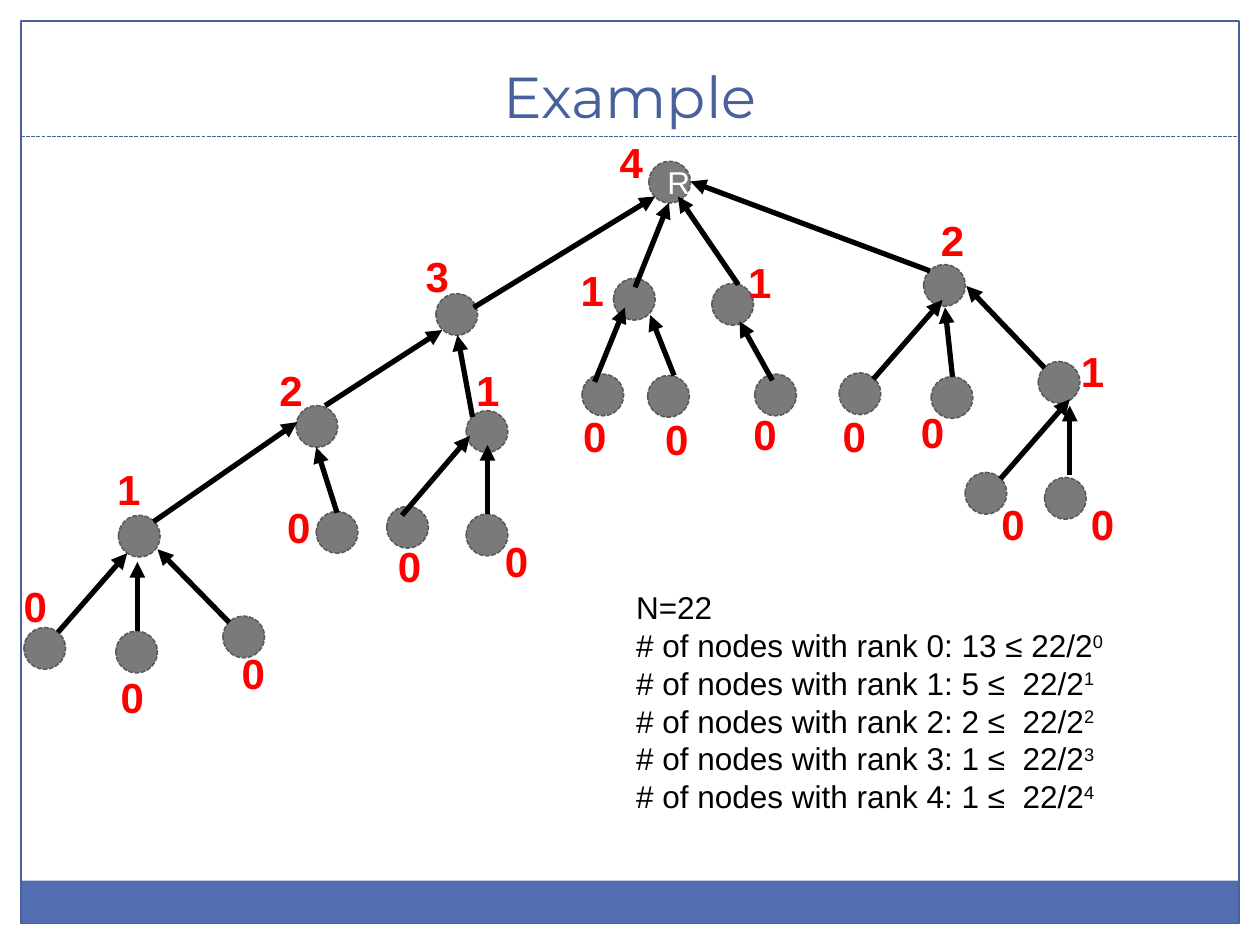
import pptx
import pptx.util
import pptx.dml.color
import pptx.enum.dml
import pptx.enum.shapes
import pptx.enum.text
import lxml.etree

Pt = pptx.util.Pt
SHAPE = pptx.enum.shapes.MSO_SHAPE
DASH = pptx.enum.dml.MSO_LINE
ANCHOR = pptx.enum.text.MSO_ANCHOR
CENTER = pptx.enum.text.PP_ALIGN.CENTER
STRAIGHT = pptx.enum.shapes.MSO_CONNECTOR.STRAIGHT
DRAWING = "{http://schemas.openxmlformats.org/drawingml/2006/main}"
COLORS = {"frame": "48609B", "band": "526DB0", "node": "7A7A7A", "rim": "5A5A5A",
          "link": "000000", "rank": "FF0000", "text": "000000", "root": "FFFFFF"}
NODE_SIZE = 23.8

# Each node: rank, node (left, top), label (left, top), link to parent (x1, y1, x2, y2)
NODES = [
    (4, (370.8, 92.2), (347, 74.2), None),
    # Left subtree
    (3, (249.1, 167.8), (236.2, 139.7), (270.7, 175.7, 374.4, 112.3)),
    (2, (169.2, 231.8), (152.6, 204.5), (185.8, 231.8, 252.7, 188.6)),
    (1, (67.7, 294.5), (59.8, 261.4), (87.8, 298.1, 169.9, 241.2)),
    (0, (13.7, 358.6), (6.5, 328.3), (33.1, 361.4, 72.7, 316.1)),
    (0, (66.2, 360.7), (61.9, 380.2), (78.5, 360.7, 78.5, 321.1)),
    (0, (127.4, 352.1), (131, 366.5), (131, 355.7, 90, 313.9)),
    (0, (180.7, 292.3), (157, 283), (192.6, 293, 180.7, 255.6)),
    (1, (266.4, 234.7), (265, 204.5), (270, 238.3, 261.4, 191.5)),
    (0, (221, 289.4), (220.3, 305.3), (229.7, 294.5, 268.6, 249.1)),
    (0, (266.4, 293.8), (281.5, 302.4), (278.6, 293.8, 278.6, 254.2)),
    # Middle subtrees
    (1, (350.6, 159.1), (324.7, 147.6), (362.9, 164.2, 382.3, 115.9)),
    (0, (332.6, 213.8), (326.2, 231.1), (339.8, 218.2, 357.1, 175.7)),
    (0, (370.1, 214.6), (373, 232.6), (385.2, 214.6, 371.5, 180)),
    (1, (406.8, 162), (420.5, 143.3), (421.9, 162.7, 387.4, 112.3)),
    (0, (431.3, 213.8), (423.4, 229.7), (441.4, 217.4, 422.6, 183.6)),
    # Right subtree
    (2, (527.8, 151.2), (530.6, 118.8), (531.4, 154.8, 394.6, 103.7)),
    (0, (479.5, 213.1), (474.5, 231.1), (499, 216.7, 538.6, 171.4)),
    (0, (532.1, 215.3), (519.1, 229), (544.3, 215.3, 540, 175.7)),
    (1, (593.3, 206.6), (610.6, 193.7), (596.9, 210.2, 552.2, 163.4)),
    (0, (551.5, 270), (565.2, 281.5), (571.7, 273.6, 611.3, 228.2)),
    (0, (596.9, 272.9), (616.3, 281.5), (611.3, 271.4, 611.3, 231.8)),
]

deck = pptx.Presentation()
deck.slide_width, deck.slide_height = Pt(720), Pt(540)
page = deck.slides.add_slide(deck.slide_layouts[6])


def rgb(name):
    return pptx.dml.color.RGBColor.from_string(COLORS[name])


def style_span(span, size, color, font="Arial", bold=False):
    span.font.name, span.font.size, span.font.bold = font, Pt(size), bold
    span.font.color.rgb = rgb(color)


# Page frame, bottom band and rule under the title
band = page.shapes.add_shape(SHAPE.RECTANGLE, Pt(11.8), Pt(503.3), Pt(695.6), Pt(24.5))
band.shadow.inherit = False
band.fill.solid()
band.fill.fore_color.rgb = rgb("band")
band.line.fill.background()
frame = page.shapes.add_shape(SHAPE.RECTANGLE, Pt(12), Pt(12), Pt(696), Pt(515.8))
frame.shadow.inherit = False
frame.fill.background()
frame.line.color.rgb, frame.line.width = rgb("frame"), Pt(0.75)
rule = page.shapes.add_connector(STRAIGHT, Pt(12), Pt(78), Pt(708), Pt(78))
rule.line.color.rgb, rule.line.width = rgb("frame"), Pt(0.75)
rule.line.dash_style = DASH.SQUARE_DOT
lxml.etree.SubElement(rule._element.spPr, DRAWING + "effectLst")

# Title
title = page.shapes.add_textbox(Pt(24), Pt(18), Pt(672), Pt(60))
title.text_frame.word_wrap = True
title.text_frame.vertical_anchor = ANCHOR.BOTTOM
title.text_frame.text = "Example"
para = title.text_frame.paragraphs[0]
para.alignment = CENTER
style_span(para.runs[0], 33, "frame", "Montserrat")

# Tree nodes
for rank, (left, top), label_at, link in NODES:
    node = page.shapes.add_shape(SHAPE.OVAL, Pt(left), Pt(top), Pt(NODE_SIZE), Pt(NODE_SIZE))
    node.shadow.inherit = False
    node.fill.solid()
    node.fill.fore_color.rgb = rgb("node")
    node.line.color.rgb, node.line.width = rgb("rim"), Pt(0.9)
    node.line.dash_style = DASH.SQUARE_DOT
    if link is None:
        node.text_frame.text = "R"
        node.text_frame.vertical_anchor = ANCHOR.MIDDLE
        node.text_frame.paragraphs[0].alignment = CENTER
        style_span(node.text_frame.paragraphs[0].runs[0], 18, "root")

# Arrows from child to parent, and rank labels
for rank, node_at, (left, top), link in NODES:
    if link:
        arrow = page.shapes.add_connector(STRAIGHT, *[Pt(value) for value in link])
        arrow.line.color.rgb, arrow.line.width = rgb("link"), Pt(3)
        lxml.etree.SubElement(arrow.line._get_or_add_ln(), DRAWING + "tailEnd", type="triangle")
        lxml.etree.SubElement(arrow._element.spPr, DRAWING + "effectLst")
    label = page.shapes.add_textbox(Pt(left), Pt(top), Pt(28), Pt(36))
    label.text_frame.word_wrap = False
    label.text_frame.text = str(rank)
    style_span(label.text_frame.paragraphs[0].runs[0], 24, "rank", bold=True)

# Node counts per rank
counts = ["13 ≤ ", "5 ≤  ", "2 ≤  ", "1 ≤  ", "1 ≤  "]
box = page.shapes.add_textbox(Pt(356.4), Pt(332.6), Pt(340), Pt(138.2))
box.text_frame.word_wrap = True
box.text_frame.text = "N=22"
style_span(box.text_frame.paragraphs[0].runs[0], 18, "text")
for rank, count in enumerate(counts):
    para = box.text_frame.add_paragraph()
    para.text = f"# of nodes with rank {rank}: {count}22/2"
    exponent = para.add_run()
    exponent.text = str(rank)
    for span in para.runs:
        style_span(span, 18, "text")
    exponent.font._element.set("baseline", "30000")

deck.save("out.pptx")
